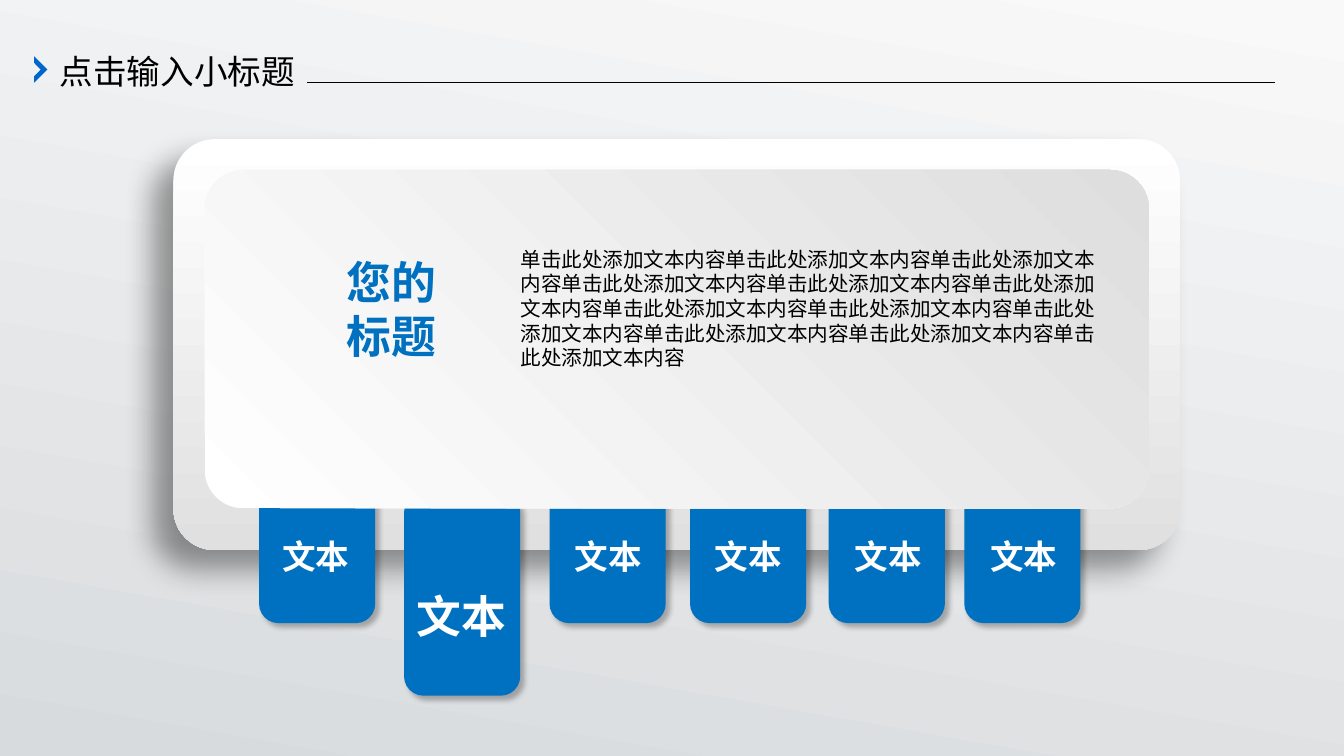
from lxml import etree
from pptx import Presentation
from pptx.dml.color import RGBColor
from pptx.enum.shapes import MSO_CONNECTOR, MSO_SHAPE
from pptx.enum.text import MSO_ANCHOR, MSO_AUTO_SIZE, PP_ALIGN
from pptx.oxml.ns import qn
from pptx.util import Pt

ROUND = MSO_SHAPE.ROUNDED_RECTANGLE
LINE = MSO_CONNECTOR.STRAIGHT
LEFT, CENTER = PP_ALIGN.LEFT, PP_ALIGN.CENTER
TOP, MIDDLE = MSO_ANCHOR.TOP, MSO_ANCHOR.MIDDLE
FIXED = MSO_AUTO_SIZE.NONE

HUES = {
    "black": "000000", "white": "FFFFFF", "blue": "0070C0",
    "mark": "0066CC", "rim": "E0E0E0", "panel": "DDDEDD",
    "dusk": "D8DBDE", "dawn": "F9F9F9",
}
CJK, LATIN, LABEL = "Noto Sans CJK SC", "Arial", "Roboto Condensed"


def hue(name):
    return RGBColor.from_string(HUES[name])


def paint(fill, name):
    fill.solid()
    fill.fore_color.rgb = hue(name)


def blend(fill, start, end, angle):
    """Two-stop gradient; the angle runs counter-clockwise."""
    fill.gradient()
    fill.gradient_angle = angle
    for stop, name, pos in zip(fill.gradient_stops, (start, end), (0, 1)):
        stop.color.rgb = hue(name)
        stop.position = pos


def shade(shape, alpha, blur, dist, angle):
    """Outer shadow; alpha in percent, blur and distance in points."""
    shape.shadow.inherit = False
    effects = shape.element.spPr.find(qn("a:effectLst"))
    outer = etree.SubElement(
        effects, qn("a:outerShdw"), blurRad=str(Pt(blur)),
        dist=str(Pt(dist)), dir=str(angle * 60000), algn="ctr",
        rotWithShape="0")
    color = etree.SubElement(outer, qn("a:srgbClr"), val=HUES["black"])
    etree.SubElement(color, qn("a:alpha"), val=str(alpha * 1000))


def plate(shapes, box, adj):
    shape = shapes.add_shape(ROUND, *map(Pt, box))
    shape.adjustments[0] = adj
    shape.line.fill.background()
    shape.shadow.inherit = False
    return shape


def write(shape, lines, size, font, color, bold=False, align=LEFT,
          anchor=TOP, space=1.0):
    frame = shape.text_frame
    frame.word_wrap = True
    frame.auto_size = FIXED
    frame.vertical_anchor = anchor
    for i, line in enumerate(lines):
        para = frame.add_paragraph() if i else frame.paragraphs[0]
        para.alignment = align
        para.line_spacing = space
        run = para.add_run()
        run.text = line
        run.font.size = Pt(size)
        run.font.bold = bold
        run.font.name = font
        run.font.color.rgb = hue(color)
        etree.SubElement(run.font._element, qn("a:ea"), typeface=CJK)


def header(slide, box):
    x, y, w, h = box
    tip_w, tip_h = 9.4, 18.8
    tip = [(0.5, 0.5), (0, 0.75), (0, 1), (1, 0.5), (0, 0), (0, 0.25)]
    spots = [(Pt(x + u * tip_w), Pt(y + 7.2 + v * tip_h)) for u, v in tip]
    draft = slide.shapes.build_freeform(*spots[0])
    draft.add_line_segments(spots[1:], close=True)
    mark = draft.convert_to_shape()
    paint(mark.fill, "mark")
    mark.line.fill.background()
    mark.shadow.inherit = False

    title = slide.shapes.title
    title.left, title.top = Pt(x + 11), Pt(y - 0.5)
    title.width, title.height = Pt(195), Pt(h)
    write(title, ["点击输入小标题"], 24, CJK, "black", anchor=MIDDLE)

    level = Pt(y + 25.7)
    rule = slide.shapes.add_connector(LINE, Pt(x + 195), level, Pt(x + w), level)
    rule.line.width = Pt(0.75)
    rule.line.color.rgb = hue("black")
    etree.SubElement(rule._element.spPr, qn("a:effectLst"))


def tab(slide, box, size, shift, drop):
    """Hanging tab; shift and drop place its label from the tab's corner."""
    x, y, w, h = box
    shapes = slide.shapes.add_group_shape().shapes
    flap = plate(shapes, box, 0.167)
    paint(flap.fill, "blue")
    shade(flap, 27, 4, 4, 45)
    label = shapes.add_textbox(
        Pt(x + shift), Pt(y + drop), Pt(w + 12), Pt(size * 0.96 + 7.2))
    write(label, ["文本"], size, LABEL, "white", True, CENTER, space=0.8)


def card(slide, box):
    x, y, w, h = box
    shapes = slide.shapes
    back = plate(shapes, box, 0.1)
    blend(back.fill, "white", "rim", 270)
    shade(back, 40, 22, 20, 135)

    lefts = (61.2, 164.8, 268.8, 369.2, 468.3, 565.2)
    shifts = (-7, -6.5, -5.5, -6, -5, -5)
    for i, (left, shift) in enumerate(zip(lefts, shifts)):
        big = i == 1
        spot = (x + left, y + (252.8 if big else 201), 83, 144.7)
        tab(slide, spot, 32 if big else 24, shift, 72 if big else 84.5)

    face = plate(shapes, (x + 22.2, y + 22, w - 44.4, h - 51.8), 0.115)
    blend(face.fill, "white", "panel", 45)

    head = shapes.add_textbox(Pt(x + 90.4), Pt(y + 79.2), Pt(131), Pt(85))
    write(head, ["您的", "标题"], 32, CJK, "blue", True, CENTER)
    body = shapes.add_textbox(Pt(x + 241), Pt(y + 73.4), Pt(427), Pt(96.5))
    write(body, ["单击此处添加文本内容" * 12], 14.67, LATIN, "black")


def main():
    deck = Presentation()
    deck.slide_width, deck.slide_height = Pt(960.5), Pt(540)
    slide = deck.slides.add_slide(deck.slide_layouts[5])
    blend(slide.background.fill, "dusk", "dawn", 80)
    card(slide, (124, 99.4, 719.3, 293.5))
    header(slide, (24.5, 33.1, 886.5, 36))
    deck.save("out.pptx")


if __name__ == "__main__":
    main()
